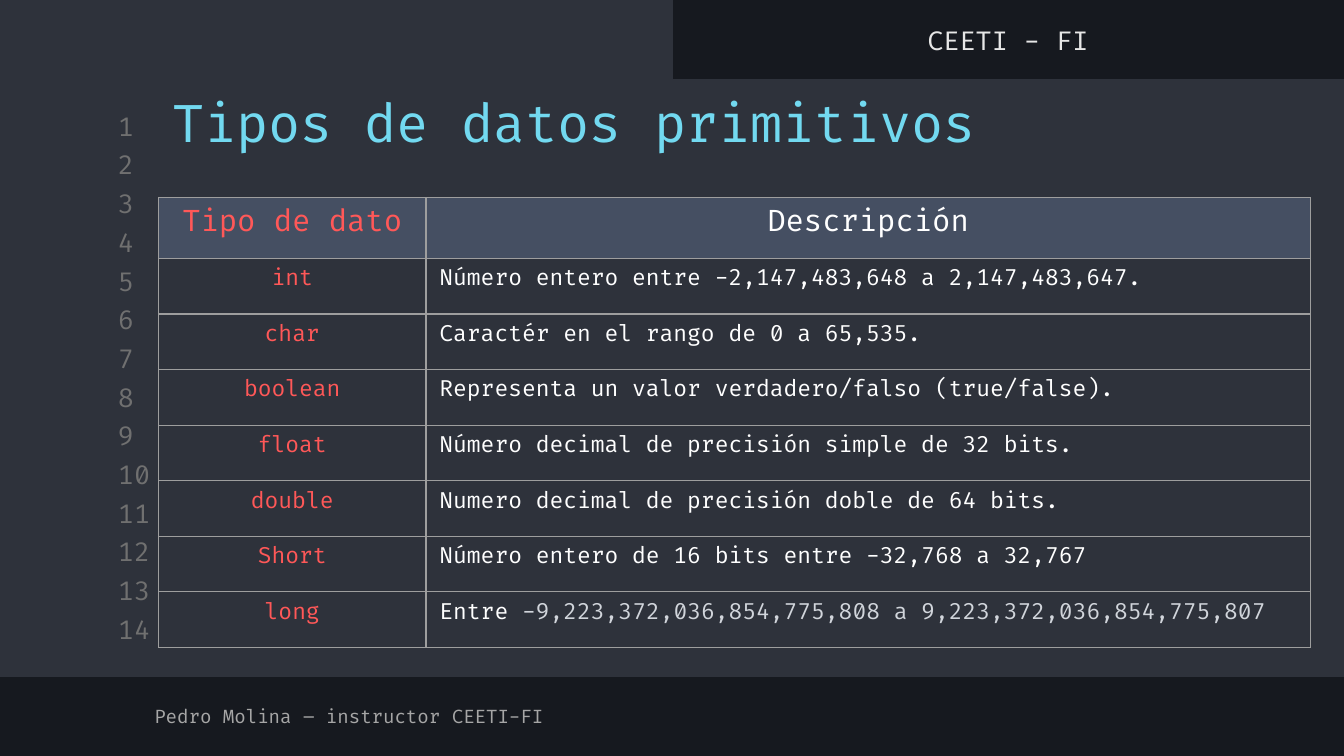
"""Build the slide that lists the primitive data types."""
from typing import Any, NamedTuple

from lxml import etree
from pptx import Presentation
from pptx.dml.color import RGBColor
from pptx.enum.shapes import MSO_SHAPE
from pptx.enum.text import MSO_ANCHOR, MSO_AUTO_SIZE, PP_ALIGN
from pptx.oxml.ns import qn
from pptx.util import Inches, Pt

RECTANGLE = MSO_SHAPE.RECTANGLE
TOP, MIDDLE = MSO_ANCHOR.TOP, MSO_ANCHOR.MIDDLE
LEFT, CENTER = PP_ALIGN.LEFT, PP_ALIGN.CENTER
NO_AUTOFIT = MSO_AUTO_SIZE.NONE

NIGHT = RGBColor(0x16, 0x19, 0x1F)
SLATE = RGBColor(0x2E, 0x32, 0x3B)
STEEL = RGBColor(0x45, 0x4F, 0x62)
GRID_GRAY = RGBColor(0x9E, 0x9E, 0x9E)
NUMBER_GRAY = RGBColor(0x70, 0x70, 0x70)
FOOTER_GRAY = RGBColor(0xA6, 0xA6, 0xA6)
HEADER_GRAY = RGBColor(0xE7, 0xE7, 0xE7)
PALE_GRAY = RGBColor(0xD1, 0xD5, 0xDB)
CYAN = RGBColor(0x72, 0xD9, 0xF0)
CORAL = RGBColor(0xFF, 0x58, 0x58)
WHITE = RGBColor(0xFF, 0xFF, 0xFF)

FONT = "Fira Code"
HAIRLINE = Pt(0.75)
WIDTH = Inches(10)
HEIGHT = WIDTH * 9 // 16
COLUMN, ROW = WIDTH / 100, HEIGHT / 100


class Box(NamedTuple):
    """A place on the slide, in percent of its width and height."""
    left: float
    top: float
    width: float
    height: float

    def lengths(self) -> tuple[int, int, int, int]:
        """Return left, top, width and height in EMU."""
        return (round(self.left * COLUMN), round(self.top * ROW),
                round(self.width * COLUMN), round(self.height * ROW))


class Run(NamedTuple):
    """A piece of text in one colour."""
    text: str
    color: RGBColor


class Label(NamedTuple):
    """A line of text with its place and look."""
    box: Box
    run: Run
    size: float
    align: Any = LEFT
    anchor: Any = MIDDLE


class DataType(NamedTuple):
    """A primitive type and its description."""
    name: str
    description: list[Run]


PANELS = [Box(0, 10.49, 100, 79), Box(0, 0, 50, 11.56)]
LINE_COUNT = 14
FIRST_LINE = Box(7.8, 14.5, 4.7, 4.27)
LINE_STEP = 5.12
LINE_NUMBERS = [
    Label(FIRST_LINE._replace(top=FIRST_LINE.top + index * LINE_STEP),
          Run(str(index + 1), NUMBER_GRAY), 14)
    for index in range(LINE_COUNT)
]
TITLE = Label(Box(11.8, 10.13, 76.4, 10.49), Run("Tipos de datos primitivos", CYAN), 28, anchor=TOP)
FOOTER = Label(Box(10.5, 91.2, 35.6, 6.93), Run("Pedro Molina – instructor CEETI-FI", FOOTER_GRAY), 10)
HEADER = Label(Box(50, 1.78, 50, 6.93), Run("CEETI - FI", HEADER_GRAY), 14, CENTER)

TABLE_COLUMNS = [19.9, 65.8]
HEAD_ROW, BODY_ROW = 8.07, 7.35
HEADINGS = [Run("Tipo de dato", CORAL), Run("Descripción", WHITE)]
DATA_TYPES = [
    DataType("int", [Run("Número entero entre -2,147,483,648 a 2,147,483,647.", WHITE)]),
    DataType("char", [Run("Caractér en el rango de 0 a 65,535.", WHITE)]),
    DataType("boolean", [Run("Representa un valor verdadero/falso (true/false).", WHITE)]),
    DataType("float", [Run("Número decimal de precisión simple de 32 bits.", WHITE)]),
    DataType("double", [Run("Numero decimal de precisión doble de 64 bits.", WHITE)]),
    DataType("Short", [Run("Número entero de 16 bits entre -32,768 a 32,767", WHITE)]),
    DataType("long", [Run("Entre ", WHITE),
                      Run("-9,223,372,036,854,775,808 a 9,223,372,036,854,775,807", PALE_GRAY)]),
]
TABLE_BOX = Box(11.8, 26.13, sum(TABLE_COLUMNS), HEAD_ROW + BODY_ROW * len(DATA_TYPES))


def apply_format(target: Any, values: dict[str, Any]) -> None:
    """Set each named attribute of the target."""
    for name, value in values.items():
        setattr(target, name, value)


def write_runs(paragraph: Any, runs: list[Run], size: float, align: Any) -> None:
    """Fill a paragraph with coloured runs."""
    paragraph.alignment = align
    for piece in runs:
        run = paragraph.add_run()
        run.text = piece.text
        apply_format(run.font, {"name": FONT, "size": Pt(size), "bold": False})
        run.font.color.rgb = piece.color


def draw_panel(slide: Any, box: Box) -> None:
    """Draw one flat panel of the backdrop."""
    panel = slide.shapes.add_shape(RECTANGLE, *box.lengths())
    panel.shadow.inherit = False
    panel.fill.solid()
    panel.fill.fore_color.rgb = SLATE
    panel.line.color.rgb = SLATE
    panel.line.width = HAIRLINE


def format_label(holder: Any, label: Label) -> None:
    """Place a text holder and write its label."""
    apply_format(holder, dict(zip(("left", "top", "width", "height"), label.box.lengths())))
    margins = dict.fromkeys(("margin_left", "margin_top", "margin_right", "margin_bottom"), Inches(0.1))
    apply_format(holder.text_frame, margins | {
        "word_wrap": True, "auto_size": NO_AUTOFIT, "vertical_anchor": label.anchor})
    write_runs(holder.text_frame.paragraphs[0], [label.run], label.size, label.align)


def draw_label(slide: Any, label: Label) -> None:
    """Add a text box for a label."""
    format_label(slide.shapes.add_textbox(*label.box.lengths()), label)


def draw_title(slide: Any, label: Label) -> None:
    """Bring the title placeholder to the front and write it."""
    title = slide.shapes.title
    title.element.getparent().append(title.element)
    format_label(title, label)


def outline_cell(cell: Any) -> None:
    """Give a cell a thin border on its four sides."""
    properties = cell._tc.get_or_add_tcPr()
    for side in ("a:lnL", "a:lnR", "a:lnT", "a:lnB"):
        border = etree.SubElement(properties, qn(side), w=str(int(HAIRLINE)))
        fill = etree.SubElement(border, qn("a:solidFill"))
        etree.SubElement(fill, qn("a:srgbClr"), val=str(GRID_GRAY))


def fill_cell(cell: Any, runs: list[Run], size: float, align: Any, heading: bool) -> None:
    """Write a table cell and set its border and fill."""
    outline_cell(cell)
    if heading:
        cell.fill.solid()
        cell.fill.fore_color.rgb = STEEL
    else:
        cell.fill.background()
    cell.vertical_anchor = TOP
    write_runs(cell.text_frame.paragraphs[0], runs, size, align)


def draw_type_table(slide: Any) -> None:
    """Add the table of data types."""
    table = slide.shapes.add_table(
        len(DATA_TYPES) + 1, len(TABLE_COLUMNS), *TABLE_BOX.lengths()).table
    apply_format(table, {"first_row": False, "horz_banding": False})
    for column, share in zip(table.columns, TABLE_COLUMNS):
        column.width = round(share * COLUMN)
    for index, row in enumerate(table.rows):
        row.height = round((BODY_ROW if index else HEAD_ROW) * ROW)
    for column, heading in enumerate(HEADINGS):
        fill_cell(table.cell(0, column), [heading], 16, CENTER, True)
    for index, data_type in enumerate(DATA_TYPES, 1):
        fill_cell(table.cell(index, 0), [Run(data_type.name, CORAL)], 12, CENTER, False)
        fill_cell(table.cell(index, 1), data_type.description, 12, LEFT, False)


def main() -> None:
    """Build and save the presentation."""
    presentation = Presentation()
    apply_format(presentation, {"slide_width": WIDTH, "slide_height": HEIGHT})
    slide = presentation.slides.add_slide(presentation.slide_layouts.get_by_name("Title Only"))
    slide.background.fill.solid()
    slide.background.fill.fore_color.rgb = NIGHT
    for box in PANELS:
        draw_panel(slide, box)
    for label in [*LINE_NUMBERS, FOOTER, HEADER]:
        draw_label(slide, label)
    draw_title(slide, TITLE)
    draw_type_table(slide)
    presentation.save("out.pptx")


if __name__ == "__main__":
    main()
